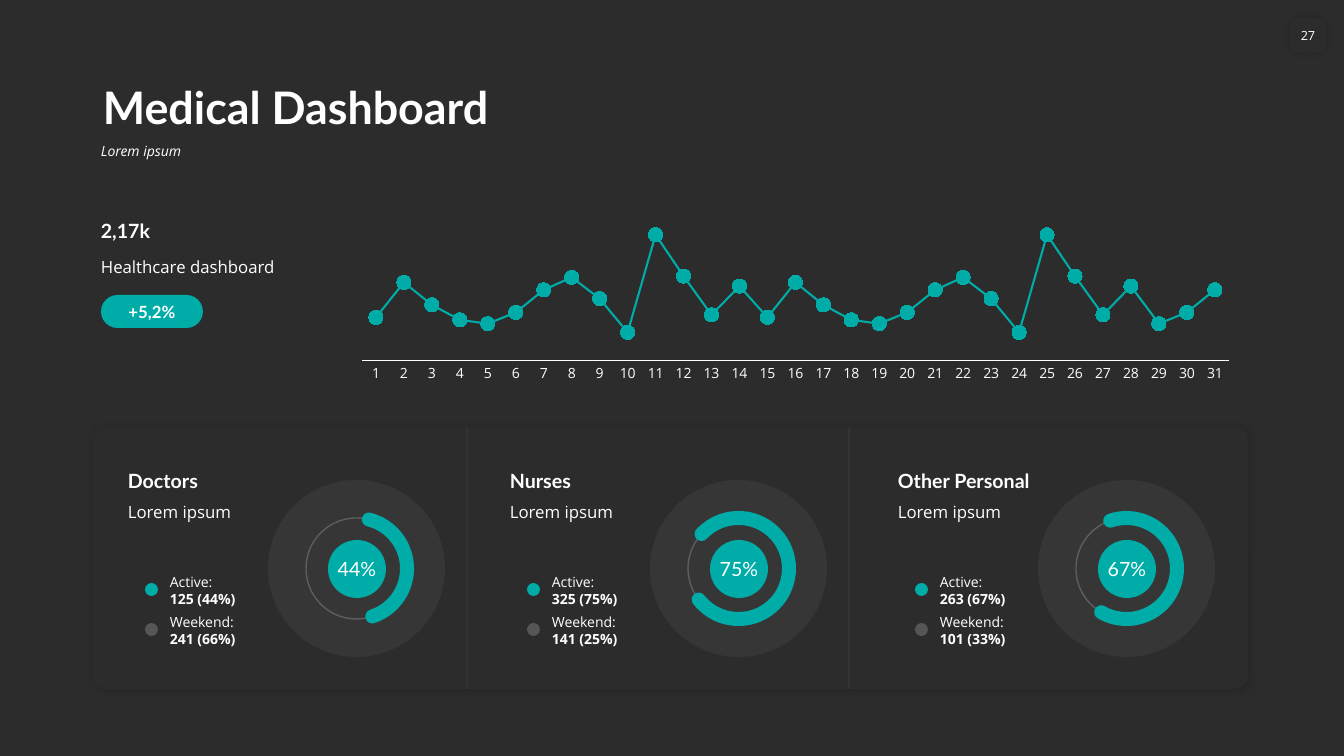
from dataclasses import dataclass
from typing import Optional

from lxml.etree import SubElement
from pptx import Presentation
from pptx.chart.data import CategoryChartData
from pptx.dml.color import RGBColor
from pptx.enum.chart import XL_CHART_TYPE as CT, XL_MARKER_STYLE as MARKER, XL_TICK_MARK as TICK
from pptx.enum.shapes import MSO_CONNECTOR as CONN, MSO_SHAPE as SHAPE
from pptx.enum.text import MSO_ANCHOR as ANCHOR, MSO_AUTO_SIZE as AUTO, PP_ALIGN as ALIGN
from pptx.oxml.ns import qn
from pptx.util import Emu, Pt

WIDTH, HEIGHT = 1344, 756
EMU_PER_PX = 12192000 / WIDTH

DARK = RGBColor(0x2C, 0x2C, 0x2C)
TEAL = RGBColor(0x00, 0xAC, 0xA8)
WHITE = RGBColor(0xFF, 0xFF, 0xFF)
HEAD, BODY = "Lato", "Open Sans"

FORMATS = {
    "title": dict(name=HEAD, size=Pt(32), bold=True),
    "subtitle": dict(name=BODY, size=Pt(10), italic=True),
    "page": dict(name=BODY, size=Pt(9)),
    "heading": dict(name=HEAD, size=Pt(14), bold=True),
    "text": dict(name=BODY, size=Pt(12)),
    "pill": dict(name=HEAD, size=Pt(12), bold=True),
    "percent": dict(name=HEAD, size=Pt(14)),
    "label": dict(name=BODY, size=Pt(10)),
    "value": dict(name=BODY, size=Pt(10), bold=True),
}

DAILY = [34, 62, 44, 32, 29, 38, 56, 66, 49, 22, 100, 67, 36, 59, 34, 62,
         44, 32, 29, 38, 56, 66, 49, 22, 100, 67, 36, 59, 29, 38, 56]

PANEL_TOP, PANEL_H = 427, 262


@dataclass
class Box:
    x: int
    y: int
    w: int
    h: int

    def emu(self) -> list[Emu]:
        return [px(v) for v in (self.x, self.y, self.w, self.h)]


@dataclass
class Card:
    x: int
    name: str
    percent: str
    active: str
    weekend: str
    arc_start: float
    arc_end: float
    divider: Optional[int] = None


CARDS = [
    Card(118, "Doctors", "44%", "125 (44%)", "241 (66%)", 284.17, 71.77, 467),
    Card(500, "Nurses", "75%", "325 (75%)", "141 (25%)", 223.06, 142.01, 849),
    Card(888, "Other Personal", "67%", "263 (67%)", "101 (33%)", 251.29, 120.02),
]


def px(value: float) -> Emu:
    return Emu(round(value * EMU_PER_PX))


def set_font(font, style: str) -> None:
    for key, value in FORMATS[style].items():
        setattr(font, key, value)
    font.color.rgb = WHITE


def set_alpha(parent, percent: int) -> None:
    """Give the colour inside parent an opacity in percent."""
    color = next(parent.iter(qn("a:srgbClr")))
    SubElement(color, qn("a:alpha"), val=str(percent * 1000))


def add_shadow(sp, alpha: int, blur: int, dist: int) -> None:
    effects = sp._element.spPr.find(qn("a:effectLst"))
    shadow = SubElement(effects, qn("a:outerShdw"), blurRad=str(Pt(blur)),
                        dist=str(Pt(dist)), dir="2700000", algn="tl", rotWithShape="0")
    SubElement(shadow, qn("a:srgbClr"), val="000000")
    set_alpha(shadow, alpha)


def add_lines(tf, lines: list[tuple[str, str]], align=None) -> None:
    """Write each (text, style) pair as one paragraph."""
    for i, (text, style) in enumerate(lines):
        p = tf.add_paragraph() if i else tf.paragraphs[0]
        p.alignment = align
        r = p.add_run()
        r.text = text
        set_font(r.font, style)


def add_text(s, box: Box, lines: list[tuple[str, str]], anchor=ANCHOR.TOP, grow: bool = True):
    tf = s.shapes.add_textbox(*box.emu()).text_frame
    tf.word_wrap = True
    tf.auto_size = AUTO.SHAPE_TO_FIT_TEXT if grow else AUTO.NONE
    tf.vertical_anchor = anchor
    add_lines(tf, lines)
    return tf.paragraphs[0]


def add_shape(s, kind, box: Box, fill: Optional[RGBColor] = None, alpha: int = 100,
              line: Optional[RGBColor] = None, width: int = 1, line_alpha: int = 100,
              adj: tuple[float, ...] = ()):
    sp = s.shapes.add_shape(kind, *box.emu())
    sp.shadow.inherit = False
    for i, value in enumerate(adj):
        sp.adjustments[i] = value
    if fill is None:
        sp.fill.background()
    else:
        sp.fill.solid()
        sp.fill.fore_color.rgb = fill
        if alpha < 100:
            set_alpha(sp._element.spPr, alpha)
    if line is None:
        sp.line.fill.background()
    else:
        style_line(sp, line, width, line_alpha)
    return sp


def style_line(sp, color: RGBColor, width: float, alpha: int = 100) -> None:
    sp.line.color.rgb = color
    sp.line.width = Pt(width)
    if alpha < 100:
        set_alpha(sp._element.spPr.find(qn("a:ln")), alpha)


def add_caption(sp, text: str, style: str, wrap: bool = False) -> None:
    """Centre one line of text in a shape."""
    tf = sp.text_frame
    tf.word_wrap = wrap
    tf.margin_left = tf.margin_right = 0
    if wrap:
        tf.margin_top = tf.margin_bottom = 0
    tf.vertical_anchor = ANCHOR.MIDDLE
    add_lines(tf, [(text, style)], ALIGN.CENTER)


def add_daily_chart(s) -> None:
    data = CategoryChartData()
    data.categories = [str(day) for day in range(1, len(DAILY) + 1)]
    data.add_series("Series 1", DAILY)
    chart = s.shapes.add_chart(CT.LINE_MARKERS_STACKED, *Box(344, 208, 903, 179).emu(), data).chart
    chart.has_legend = chart.has_title = False
    set_font(chart.font, "label")

    days, values = chart.category_axis, chart.value_axis
    days.major_tick_mark = days.minor_tick_mark = TICK.NONE
    days.has_major_gridlines = values.has_major_gridlines = False
    style_axis = days.format.line
    style_axis.color.rgb = WHITE
    style_axis.width = Pt(0.75)
    set_font(days.tick_labels.font, "label")
    values.minimum_scale, values.maximum_scale = 0, 120
    values.visible = False

    plot = chart.plots[0]
    plot.vary_by_categories = False
    series = plot.series[0]
    series.smooth = False
    series.format.line.color.rgb = TEAL
    series.format.line.width = Pt(1.5)
    marker = series.marker
    marker.style, marker.size = MARKER.CIRCLE, 10
    marker.format.fill.solid()
    marker.format.fill.fore_color.rgb = TEAL
    marker.format.line.color.rgb = TEAL

    area = chart._chartSpace.chart.plotArea
    layout = area.find(qn("c:layout"))
    if layout is None:
        layout = area.makeelement(qn("c:layout"))
        area.insert(0, layout)
    manual = SubElement(layout, qn("c:manualLayout"))
    for tag, val in [("layoutTarget", "inner"), ("xMode", "edge"), ("yMode", "edge"),
                     ("x", "0.02"), ("y", "0.01"), ("w", "0.96"), ("h", "0.84")]:
        SubElement(manual, qn(f"c:{tag}"), val=val)


def add_card(s, card: Card) -> None:
    x = card.x
    ring = Box(x + 188, 518, 101, 101)
    add_shape(s, SHAPE.OVAL, Box(x + 150, 480, 177, 177), WHITE, 5)
    add_shape(s, SHAPE.OVAL, ring, line=WHITE, line_alpha=20)
    add_text(s, Box(x, 463, 288, 34), [(card.name, "heading")], ANCHOR.BOTTOM)
    add_text(s, Box(x, 497, 288, 30), [("Lorem ipsum", "text")])
    disc = add_shape(s, SHAPE.OVAL, Box(x + 210, 540, 58, 58), TEAL)
    add_caption(disc, card.percent, "percent")
    # Arc angles are stored in 1/60000 degree, adjustments in 1/100000
    arc = add_shape(s, SHAPE.ARC, ring, line=TEAL, width=10,
                    adj=(card.arc_start * 0.6, card.arc_end * 0.6))
    arc._element.spPr.find(qn("a:ln")).set("cap", "rnd")
    legend = [("Active:", card.active, TEAL, 100), ("Weekend:", card.weekend, WHITE, 20)]
    for i, (label, value, color, alpha) in enumerate(legend):
        add_shape(s, SHAPE.OVAL, Box(x + 27, 583 + 40 * i, 13, 13), color, alpha)
        add_text(s, Box(x + 42, 568 + 40 * i, 119, 44),
                 [(label, "label"), (value, "value")], ANCHOR.MIDDLE)
    if card.divider:
        line = s.shapes.add_connector(CONN.STRAIGHT, px(card.divider), px(PANEL_TOP + PANEL_H),
                                      px(card.divider), px(PANEL_TOP))
        style_line(line, WHITE, 0.5, 10)
        SubElement(line._element.spPr, qn("a:effectLst"))


def main() -> None:
    prs = Presentation()
    prs.slide_width, prs.slide_height = px(WIDTH), px(HEIGHT)
    s = prs.slides.add_slide(prs.slide_layouts[6])
    s.background.fill.solid()
    s.background.fill.fore_color.rgb = DARK

    title = add_text(s, Box(93, 58, 1159, 81), [("Medical Dashboard", "title")], ANCHOR.BOTTOM, False)
    subtitle = add_text(s, Box(91, 139, 1161, 36), [("Lorem ipsum", "subtitle")], grow=False)
    title.line_spacing = subtitle.line_spacing = 0.9
    subtitle.space_before = Pt(10)
    page = add_shape(s, SHAPE.ROUNDED_RECTANGLE, Box(1290, 18, 36, 35), DARK, adj=(0.27,))
    add_shadow(page, 20, 5, 0)
    add_caption(page, "27", "page")

    add_daily_chart(s)
    add_text(s, Box(91, 213, 215, 34), [("2,17k", "heading")], ANCHOR.BOTTOM)
    add_text(s, Box(91, 252, 215, 30), [("Healthcare dashboard", "text")])
    pill = add_shape(s, SHAPE.ROUNDED_RECTANGLE, Box(101, 295, 102, 33), TEAL, adj=(0.5,))
    add_caption(pill, "+5,2%", "pill", wrap=True)

    panel = add_shape(s, SHAPE.ROUNDED_RECTANGLE, Box(93, PANEL_TOP, 1155, PANEL_H), DARK, adj=(0.05,))
    add_shadow(panel, 15, 6, 1)
    for card in CARDS:
        add_card(s, card)
    prs.save("out.pptx")


if __name__ == "__main__":
    main()
